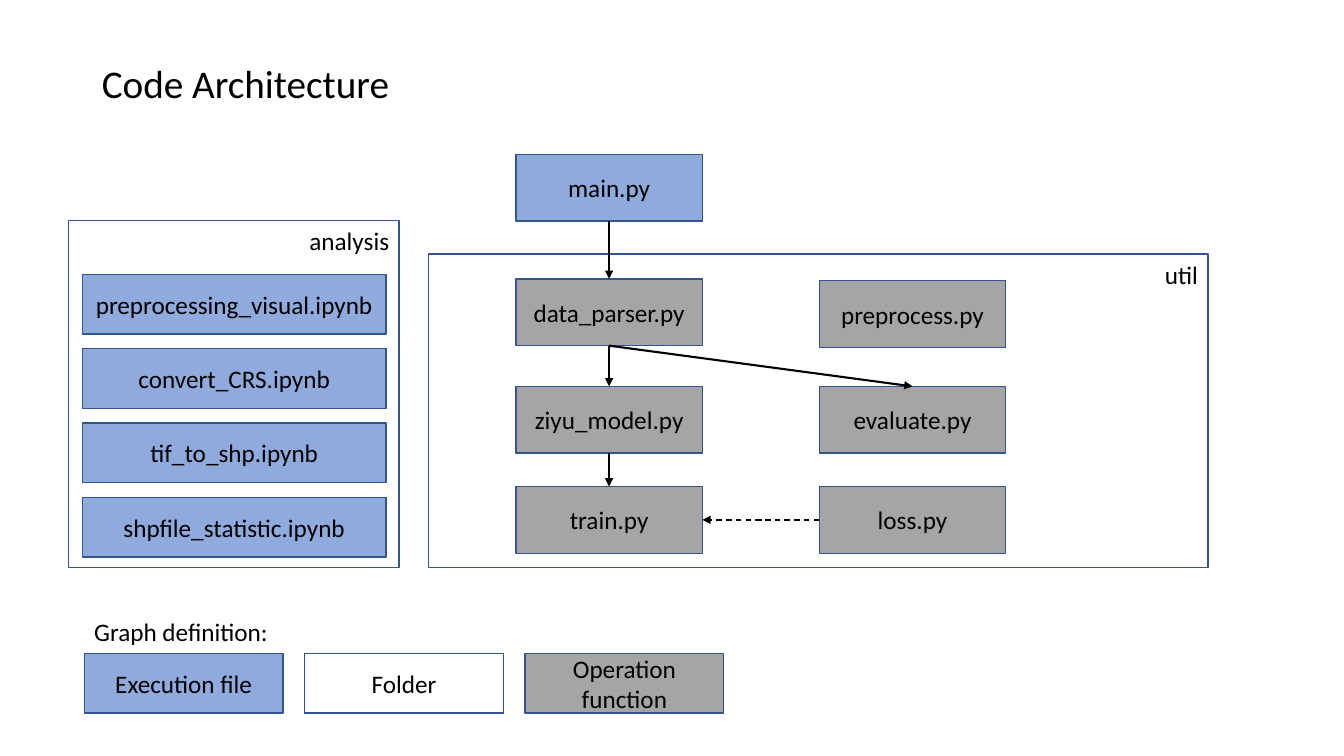
from dataclasses import dataclass

from lxml import etree
from pptx import Presentation
from pptx.dml.color import RGBColor
from pptx.enum.dml import MSO_LINE
from pptx.enum.shapes import MSO_CONNECTOR, MSO_SHAPE
from pptx.enum.text import MSO_ANCHOR, MSO_AUTO_SIZE, PP_ALIGN
from pptx.oxml.ns import qn
from pptx.shapes.autoshape import Shape
from pptx.slide import Slide
from pptx.text.text import TextFrame
from pptx.util import Pt

RECTANGLE = MSO_SHAPE.RECTANGLE
STRAIGHT, CURVE = MSO_CONNECTOR.STRAIGHT, MSO_CONNECTOR.CURVE
DASH = MSO_LINE.DASH
LEFT, CENTER, RIGHT = PP_ALIGN.LEFT, PP_ALIGN.CENTER, PP_ALIGN.RIGHT
TOP, MIDDLE = MSO_ANCHOR.TOP, MSO_ANCHOR.MIDDLE
NO_AUTOSIZE = MSO_AUTO_SIZE.NONE

COLOURS = {
    "text": "000000",
    "outline": "325491",
    "execution": "8FAADC",
    "operation": "A5A5A5",
}
FONT = "Calibri"
TOP_SIDE, LEFT_SIDE, BOTTOM_SIDE, RIGHT_SIDE = range(4)

MODULE_WIDTH, MODULE_HEIGHT = 133.2, 47.7
MAIN_COLUMN, SIDE_COLUMN = 368.5, 585.2
NOTEBOOK_LEFT, NOTEBOOK_TOP, NOTEBOOK_STEP = 58.9, 196, 53.1
NOTEBOOK_WIDTH, ENTRY_HEIGHT = 216.7, 42.5
LEGEND_LEFT, LEGEND_TOP, LEGEND_STEP = 60.2, 466.8, 157.4
LEGEND_WIDTH = 142


@dataclass
class Box:
    text: str
    left: float
    top: float
    width: float
    height: float
    fill: str = ""


@dataclass
class Arrow:
    source: str
    source_side: int
    target: str
    target_side: int
    width: float = 1.5
    dashed: bool = False


@dataclass
class Folder:
    name: str
    left: float
    top: float
    width: float
    height: float
    label_width: float


MODULES = [
    Box("main.py", MAIN_COLUMN, 110.2, MODULE_WIDTH, MODULE_HEIGHT, "execution"),
    Box("data_parser.py", MAIN_COLUMN, 199.2, MODULE_WIDTH, MODULE_HEIGHT, "operation"),
    Box("ziyu_model.py", MAIN_COLUMN, 276, MODULE_WIDTH, MODULE_HEIGHT, "operation"),
    Box("train.py", MAIN_COLUMN, 347.5, MODULE_WIDTH, MODULE_HEIGHT, "operation"),
    Box("preprocess.py", SIDE_COLUMN, 200.4, MODULE_WIDTH, MODULE_HEIGHT, "operation"),
    Box("evaluate.py", SIDE_COLUMN, 276, MODULE_WIDTH, MODULE_HEIGHT, "operation"),
    Box("loss.py", SIDE_COLUMN, 347.5, MODULE_WIDTH, MODULE_HEIGHT, "operation"),
]
ARROWS = [
    Arrow("main.py", BOTTOM_SIDE, "data_parser.py", TOP_SIDE),
    Arrow("data_parser.py", BOTTOM_SIDE, "ziyu_model.py", TOP_SIDE),
    Arrow("data_parser.py", BOTTOM_SIDE, "evaluate.py", TOP_SIDE),
    Arrow("ziyu_model.py", BOTTOM_SIDE, "train.py", TOP_SIDE),
    Arrow("loss.py", LEFT_SIDE, "train.py", RIGHT_SIDE, 1, True),
]
FOLDERS = [
    Folder("util", 306, 181.4, 556.8, 224.2, 38.9),
    Folder("analysis", 49.1, 157.5, 236, 247.8, 72),
]
NOTEBOOKS = [
    "preprocessing_visual.ipynb",
    "convert_CRS.ipynb",
    "tif_to_shp.ipynb",
    "shpfile_statistic.ipynb",
]
LEGEND = [("Execution file", "execution"), ("Folder", ""), ("Operation function", "operation")]


def colour(name: str) -> RGBColor:
    return RGBColor.from_string(COLOURS[name])


def write_text(frame: TextFrame, text: str, *, size: float = 18,
               align: PP_ALIGN = LEFT, anchor: MSO_ANCHOR = TOP,
               wrap: bool = True, spacing: float = 1.0) -> None:
    frame.auto_size = NO_AUTOSIZE
    frame.word_wrap = wrap
    frame.vertical_anchor = anchor
    paragraph = frame.paragraphs[0]
    paragraph.alignment = align
    paragraph.line_spacing = spacing
    run = paragraph.add_run()
    run.text = text
    run.font.name = FONT
    run.font.size = Pt(size)
    run.font.color.rgb = colour("text")


def draw_box(slide: Slide, box: Box) -> Shape:
    shape = slide.shapes.add_shape(
        RECTANGLE, Pt(box.left), Pt(box.top), Pt(box.width), Pt(box.height))
    shape.shadow.inherit = False
    if box.fill:
        shape.fill.solid()
        shape.fill.fore_color.rgb = colour(box.fill)
    else:
        shape.fill.background()
    shape.line.color.rgb = colour("outline")
    shape.line.width = Pt(1)
    if box.text:
        write_text(shape.text_frame, box.text, align=CENTER, anchor=MIDDLE)
    return shape


def draw_label(slide: Slide, label: Box, align: PP_ALIGN, wrap: bool) -> None:
    shape = slide.shapes.add_textbox(
        Pt(label.left), Pt(label.top), Pt(label.width), Pt(label.height))
    write_text(shape.text_frame, label.text, align=align, wrap=wrap)


def draw_folder(slide: Slide, folder: Folder) -> None:
    draw_box(slide, Box("", folder.left, folder.top, folder.width, folder.height))
    label_left = folder.left + folder.width - folder.label_width
    draw_label(slide, Box(folder.name, label_left, folder.top, folder.label_width, 29),
               RIGHT, False)


def draw_arrow(slide: Slide, arrow: Arrow, modules: dict[str, Shape]) -> None:
    kind = CURVE if arrow.dashed else STRAIGHT
    connector = slide.shapes.add_connector(kind, 0, 0, 0, 0)
    connector.begin_connect(modules[arrow.source], arrow.source_side)
    connector.end_connect(modules[arrow.target], arrow.target_side)
    connector.line.color.rgb = colour("text")
    connector.line.width = Pt(arrow.width)
    if arrow.dashed:
        connector.line.dash_style = DASH
    properties = connector._element.spPr
    etree.SubElement(properties.find(qn("a:ln")), qn("a:tailEnd"), type="triangle")
    etree.SubElement(properties, qn("a:effectLst"))


def draw_title(slide: Slide) -> None:
    title = slide.shapes.title
    title.left, title.top, title.width, title.height = Pt(65.5), Pt(30.2), Pt(836), Pt(62)
    write_text(title.text_frame, "Code Architecture", size=28, anchor=MIDDLE, spacing=0.9)


def main() -> None:
    presentation = Presentation()
    presentation.slide_width, presentation.slide_height = Pt(960), Pt(540)
    slide = presentation.slides.add_slide(presentation.slide_layouts.get_by_name("Title Only"))
    draw_title(slide)
    for folder in FOLDERS:
        draw_folder(slide, folder)
    modules = {module.text: draw_box(slide, module) for module in MODULES}
    for arrow in ARROWS:
        draw_arrow(slide, arrow, modules)
    for row, notebook in enumerate(NOTEBOOKS):
        draw_box(slide, Box(notebook, NOTEBOOK_LEFT, NOTEBOOK_TOP + row * NOTEBOOK_STEP,
                            NOTEBOOK_WIDTH, ENTRY_HEIGHT, "execution"))
    draw_label(slide, Box("Graph definition:", LEGEND_LEFT, 437, 172, 29), LEFT, True)
    for column, (text, fill) in enumerate(LEGEND):
        draw_box(slide, Box(text, LEGEND_LEFT + column * LEGEND_STEP, LEGEND_TOP,
                            LEGEND_WIDTH, ENTRY_HEIGHT, fill))
    presentation.save("out.pptx")


if __name__ == "__main__":
    main()
